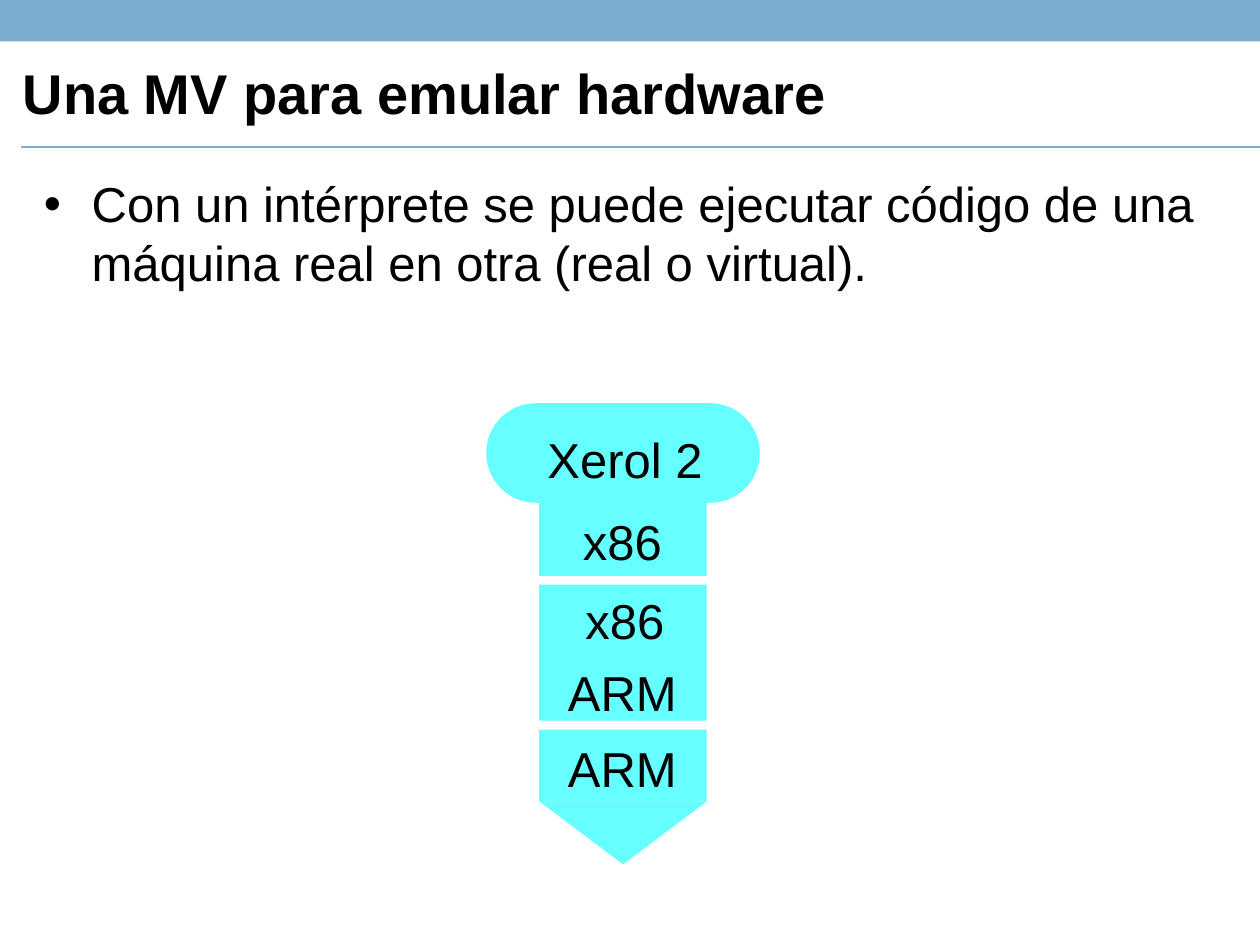
from lxml.etree import SubElement
from pptx import Presentation
from pptx.dml.color import RGBColor
from pptx.enum.shapes import MSO_CONNECTOR as Link, MSO_SHAPE as Shape
from pptx.enum.text import MSO_ANCHOR as Anchor, MSO_AUTO_SIZE as Fit, PP_ALIGN as Align
from pptx.oxml.ns import qn
from pptx.util import Inches, Pt

TITLE = "Una MV para emular hardware"
BODY = "Con un intérprete se puede ejecutar código de una máquina real en otra (real o virtual)."
BLUE, CYAN, BLACK = "7BAECE", "66FFFF", "000000"

MID, STEM = 4.945, 1.33
# kind, top, width, height
PARTS = [
    (Shape.ROUNDED_RECTANGLE, 3.2, 2.17, 0.79),
    (Shape.RECTANGLE, 3.99, STEM, 0.58),
    (Shape.RECTANGLE, 4.64, STEM, 1.08),
    (Shape.RECTANGLE, 5.79, STEM, 0.57),
    (Shape.ISOSCELES_TRIANGLE, 6.36, STEM, 0.5),
]
# text, middle, top, width
LABELS = [
    ("Xerol 2", 4.96, 3.36, 1.64),
    ("x86", 4.94, 4.01, 0.86),
    ("x86", 4.96, 4.64, 0.86),
    ("ARM", 4.94, 5.21, 1.06),
    ("ARM", 4.94, 5.81, 1.06),
]


def color(code):
    return RGBColor.from_string(code)


def box(*at):
    return [Inches(v) for v in at]


def style(para, size=28, bold=False, **form):
    para.font.color.rgb = color(BLACK)
    for key, val in dict(name="Arial", size=Pt(size), bold=bold).items():
        setattr(para.font, key, val)
    for key, val in form.items():
        setattr(para, key, val)


def block(kind, at, fill):
    shape = slide.shapes.add_shape(kind, *box(*at))
    shape.shadow.inherit = False
    shape.fill.solid()
    shape.fill.fore_color.rgb = color(fill)
    shape.line.fill.background()
    return shape


def text(words, at, wrap, fit):
    frame = slide.shapes.add_textbox(*box(*at)).text_frame
    frame.word_wrap = wrap
    frame.auto_size = fit
    para = frame.paragraphs[0]
    para.text = words
    return para


def bullet(para, indent):
    props = para._p.get_or_add_pPr()
    props.set("marL", str(Inches(indent)))
    props.set("indent", str(-Inches(indent)))
    SubElement(props, qn("a:buFont"), typeface="Arial")
    SubElement(props, qn("a:buChar"), char="•")


prs = Presentation()
prs.slide_width, prs.slide_height = box(10, 7.5)
slide = prs.slides.add_slide(prs.slide_layouts[5])

block(Shape.RECTANGLE, (0, 0, 10, 0.33), BLUE)
rule = slide.shapes.add_connector(Link.STRAIGHT, *box(0.17, 1.17, 10, 1.17))
rule.line.color.rgb = color(BLUE)
rule.line.width = Pt(1.25)
SubElement(rule._element.spPr, qn("a:effectLst"))

title = slide.shapes.title
title.left, title.top, title.width, title.height = box(0.08, 0.35, 9.92, 0.83)
title.text = TITLE
title.text_frame.vertical_anchor = Anchor.MIDDLE
style(title.text_frame.paragraphs[0], 32, True, alignment=Align.LEFT, line_spacing=0.9)

body = text(BODY, (0.25, 1.33, 9.5, 5.67), True, Fit.NONE)
bullet(body, 0.38)
style(body)

for kind, top, wide, high in PARTS:
    part = block(kind, (MID - wide / 2, top, wide, high), CYAN)
    if kind == Shape.ROUNDED_RECTANGLE:
        part.adjustments[0] = 0.5
    elif kind == Shape.ISOSCELES_TRIANGLE:
        part.rotation = 180

for words, mid, top, wide in LABELS:
    at = mid - wide / 2, top, wide, 0.57
    style(text(words, at, False, Fit.SHAPE_TO_FIT_TEXT), alignment=Align.CENTER)

prs.save("out.pptx")
